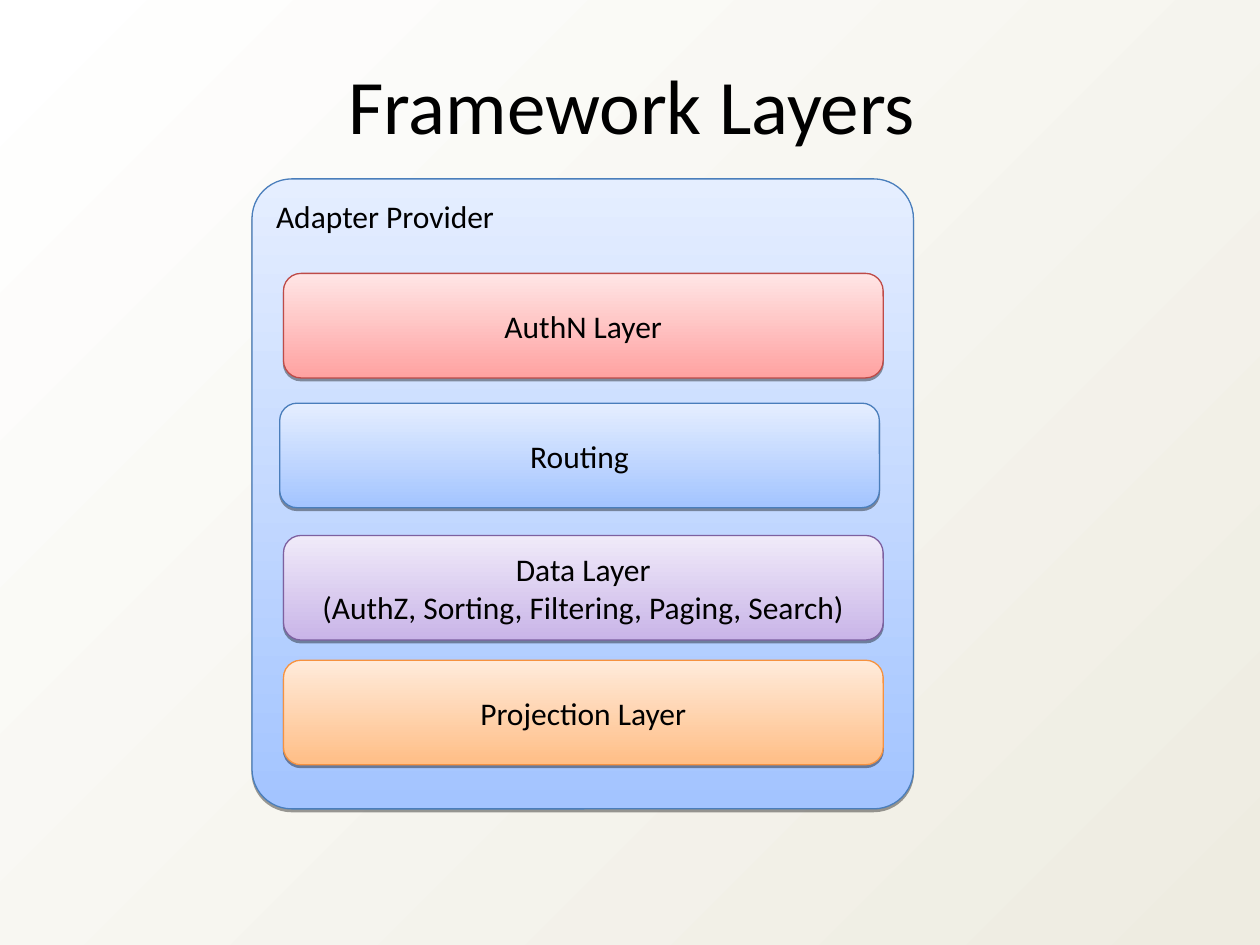
from lxml import etree
from pptx import Presentation
from pptx.dml.color import RGBColor
from pptx.enum.shapes import MSO_SHAPE
from pptx.enum.text import MSO_ANCHOR, PP_ALIGN
from pptx.oxml.ns import qn
from pptx.util import Inches, Pt

ROUNDED = MSO_SHAPE.ROUNDED_RECTANGLE
TOP, MIDDLE = MSO_ANCHOR.TOP, MSO_ANCHOR.MIDDLE
LEFT, CENTER = PP_ALIGN.LEFT, PP_ALIGN.CENTER

BLACK = RGBColor(0x00, 0x00, 0x00)
WHITE = RGBColor(0xFF, 0xFF, 0xFF)
CREAM = RGBColor(0xEE, 0xEC, 0xE1)
# Each palette: bottom of the gradient, top of the gradient, outline
BLUE = RGBColor(0xA3, 0xC4, 0xFF), RGBColor(0xE5, 0xEE, 0xFF), RGBColor(0x4A, 0x7E, 0xBB)
RED = RGBColor(0xFF, 0xA2, 0xA1), RGBColor(0xFF, 0xE5, 0xE5), RGBColor(0xBE, 0x4B, 0x48)
PURPLE = RGBColor(0xC9, 0xB5, 0xE8), RGBColor(0xF0, 0xEA, 0xF9), RGBColor(0x7D, 0x60, 0xA0)
ORANGE = RGBColor(0xFF, 0xBE, 0x86), RGBColor(0xFF, 0xEB, 0xDB), RGBColor(0xF6, 0x92, 0x40)


def write_text(box, lines, size=18, align=CENTER, anchor=MIDDLE):
    frame = box.text_frame
    frame.word_wrap = True
    frame.vertical_anchor = anchor
    frame.text = "\n".join(lines)
    for para in frame.paragraphs:
        para.alignment = align
        for span in para.runs:
            span.font.name = "Calibri"
            span.font.size = Pt(size)
            span.font.color.rgb = BLACK


def paint_gradient(fill, start, end, angle):
    """Blend two colours; the angle runs counter-clockwise from the left."""
    fill.gradient()
    fill.gradient_angle = angle
    for stop, color in zip(fill.gradient_stops, (start, end)):
        stop.color.rgb = color


deck = Presentation()
deck.slide_width, deck.slide_height = Inches(10), Inches(7.5)
page = deck.slides.add_slide(deck.slide_layouts[5])
paint_gradient(page.background.fill, WHITE, CREAM, 315)

title = page.shapes.title
title.left, title.top = Inches(0.18), Inches(0.41)
title.width, title.height = Inches(9.67), Inches(0.84)
write_text(title, ["Framework Layers"], size=44, anchor=TOP)

# The provider panel comes first, so that the layers lie on it
layer_left, layer_width, layer_height = 2.25, 4.76, 0.83
panels = [
    (["Adapter Provider"], BLUE, 2, 1.42, 5.25, 5, 0.063, LEFT, TOP),
]
layers = [
    (["AuthN Layer"], RED, 0, 2.17),
    (["Routing"], BLUE, -0.03, 3.2),
    (["Data Layer", "(AuthZ, Sorting, Filtering, Paging, Search)"], PURPLE, 0, 4.25),
    (["Projection Layer"], ORANGE, 0, 5.24),
]
for lines, palette, shift, top in layers:
    panels.append((lines, palette, layer_left + shift, top,
                   layer_width, layer_height, 0.167, CENTER, MIDDLE))

for lines, palette, left, top, width, height, rounding, align, anchor in panels:
    bottom_color, top_color, outline = palette
    panel = page.shapes.add_shape(
        ROUNDED, Inches(left), Inches(top), Inches(width), Inches(height))
    panel.adjustments[0] = rounding
    paint_gradient(panel.fill, bottom_color, top_color, 90)
    panel.line.color.rgb = outline
    panel.line.width = Pt(0.75)

    panel.shadow.inherit = False
    effects = panel._element.spPr.find(qn("a:effectLst"))
    shadow = etree.SubElement(effects, qn("a:outerShdw"), blurRad="0",
                              dist=str(Pt(1.6)), dir="5400000", rotWithShape="0")
    shade = etree.SubElement(shadow, qn("a:srgbClr"), val=str(BLACK))
    etree.SubElement(shade, qn("a:alpha"), val="38000")

    write_text(panel, lines, align=align, anchor=anchor)

deck.save("out.pptx")
